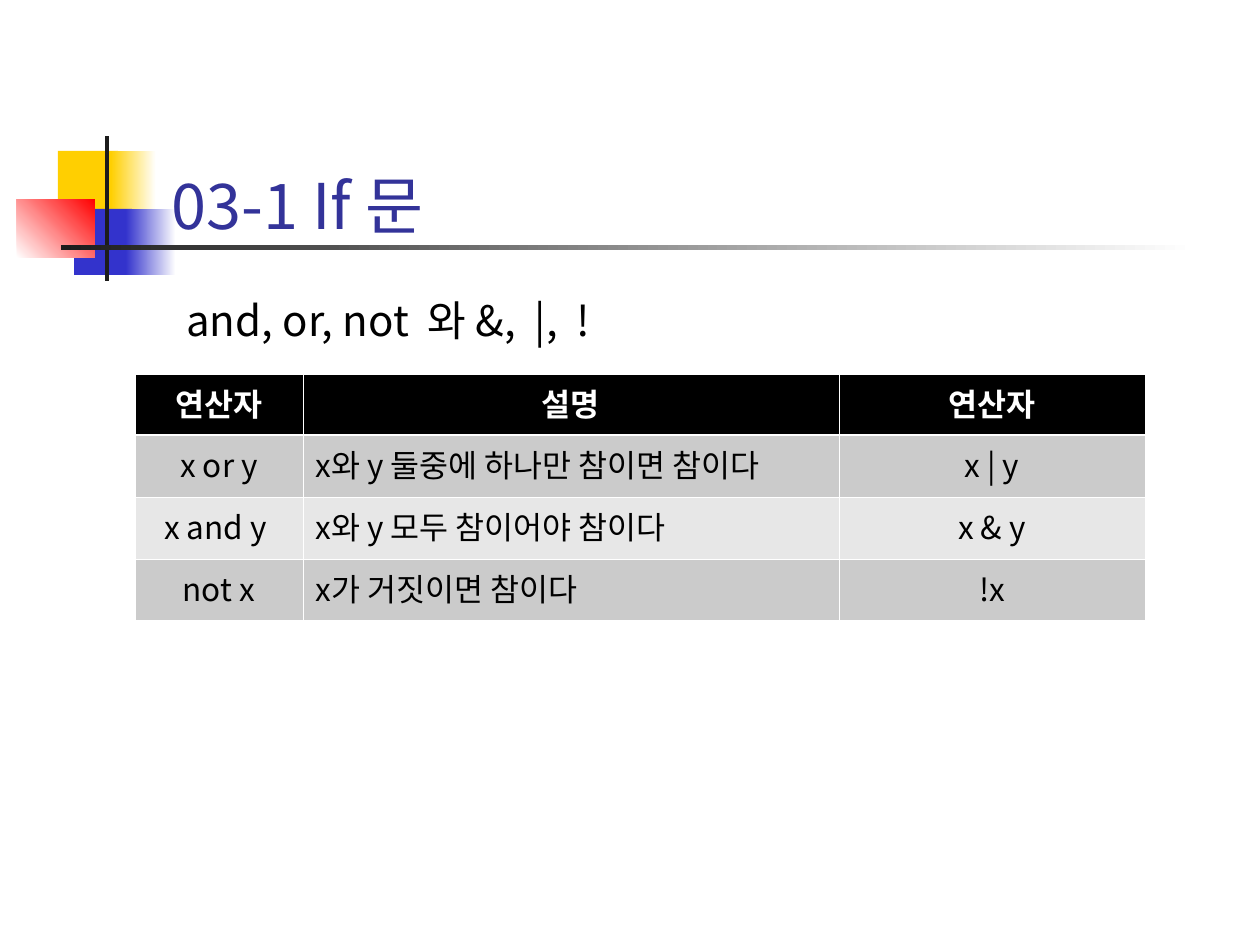
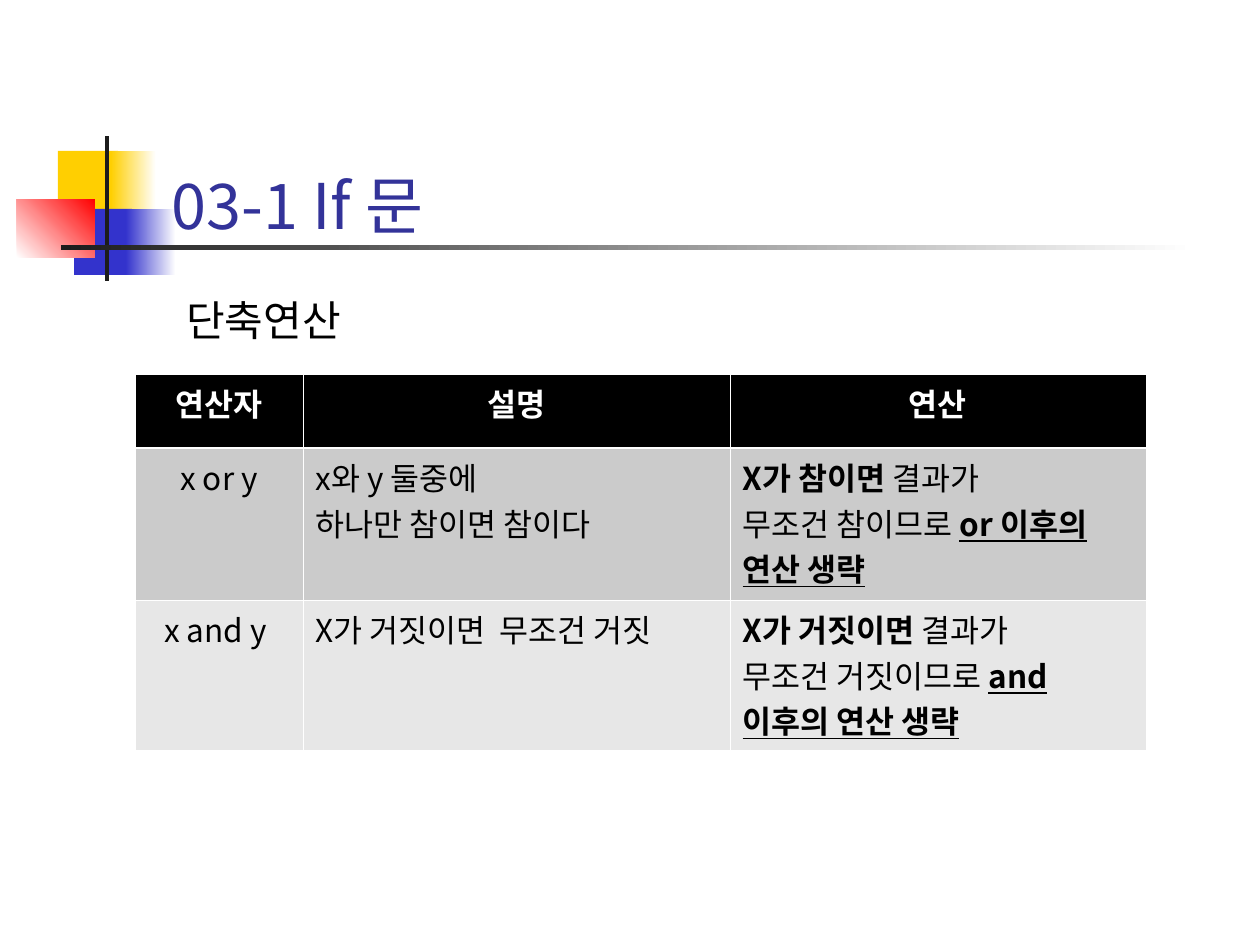
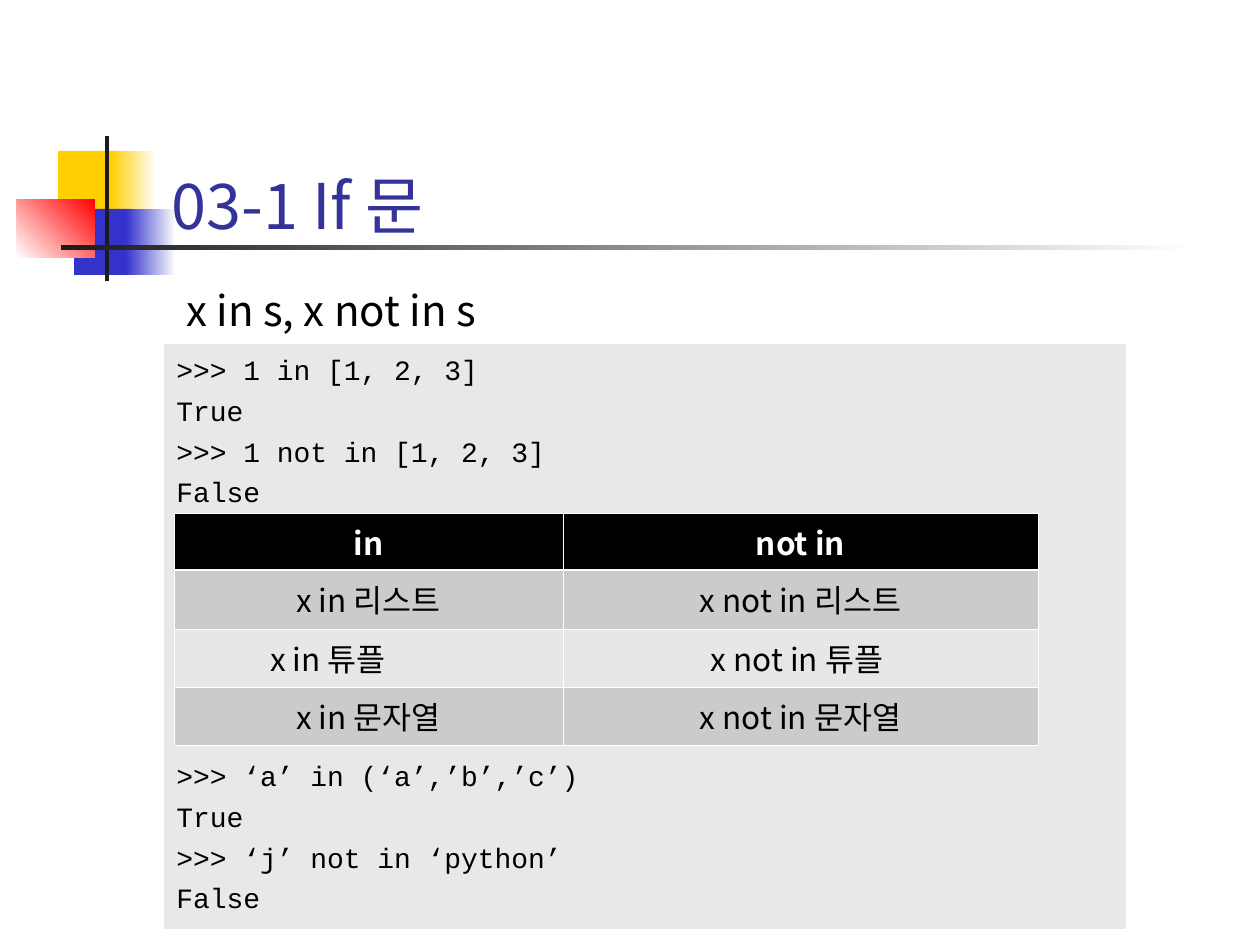
from lxml import etree
from pptx import Presentation, util as u
from pptx.dml.color import RGBColor
from pptx.enum import shapes, text
from pptx.oxml import ns

# ---- Content: lengths in px, 126 px to the inch ----
PX = 914400 / 126
SANS, MONO = "Noto Sans CJK KR", "Courier New"
BLACK, WHITE, INK = "000000", "FFFFFF", "1C1C1C"
TITLE_COLOR, CODE_FILL = "333399", "E8E8E8"
BANDS = ("CBCBCB", "E7E7E7")
YELLOW, BLUE, RED = "FFCF01", "3333CC", "FF0000"
THIN, THICK = 0.45, 1.47

TITLE = "03-1 If 문"
TITLE_BOX = (159, 84, 978, 158)

# box, colours (two make a gradient), gradient angle
ORNAMENTS = [
    ((58, 151, 60, 66), (YELLOW,), 0),
    ((111, 151, 45, 66), (YELLOW, WHITE), 0),
    ((74, 209, 58, 66), (BLUE,), 0),
    ((126, 209, 50, 66), (BLUE, WHITE), 0),
    ((17, 199, 78, 59), (WHITE, RED), 45),
    ((105, 136, 4, 145), (INK,), 0),
    ((61, 245, 1134, 5), (INK, WHITE), 0),
]

# A cell is a string, or a list of paragraphs; a paragraph is a string,
# or a list of (text, style) with style letters b (bold) and u (underline).
SLIDES = [
    {
        "subtitle": ("and, or, not  와 &,  |,  !", 294),
        "table": {
            "at": (135, 374), "columns": (168, 536, 306), "rows": (61, 62, 62, 62),
            "align": "clc",
            "cells": [
                ("연산자", "설명", "연산자"),
                ("x or y", "x와 y 둘중에 하나만 참이면 참이다", "x | y"),
                ("x and y ", "x와 y 모두 참이어야 참이다", "x & y"),
                ("not x", "x가 거짓이면 참이다", "!x"),
            ],
        },
    },
    {
        "subtitle": ("단축연산", 294),
        "table": {
            "at": (135, 374), "columns": (168, 427, 416), "rows": (74, 152, 150),
            "align": "cll",
            "cells": [
                ("연산자", "설명", "연산"),
                ("x or y", ["x와 y 둘중에", "하나만 참이면 참이다"],
                 [[("X가 참이면 ", "b"), ("결과가", "")],
                  [("무조건 참이므로 ", ""), ("or 이후의 연산 생략", "bu")]]),
                ("x and y ", "X가 거짓이면  무조건 거짓",
                 [[("X가 거짓이면 ", "b"), ("결과가", "")],
                  [("무조건 거짓이므로 ", ""), ("and 이후의 연산 생략", "bu")]]),
            ],
        },
    },
    {
        "subtitle": ("x in s, x not in s", 284),
        "code": [
            [">>> 1 in [1, 2, 3]", "True", ">>> 1 not in [1, 2, 3]", "False"],
            [">>> ‘a’ in (‘a’,’b’,’c’)", "True", ">>> ‘j’ not in ‘python’", "False"],
        ],
        "table": {
            "at": (174, 513), "columns": (389, 475), "rows": (57, 59, 58, 58),
            "align": "cc",
            "cells": [
                ("in", "not in"),
                ("x in 리스트", "x not in 리스트"),
                ("x in 튜플", "x not in 튜플 "),
                ("x in 문자열", "x not in 문자열"),
            ],
            "right_margins": {(2, 0): 94},
        },
    },
]

CODE_BOX = (164, 344, 962, 585)
CODE_LINE, CODE_SPACE = 19.2, 4   # points
CODE_GAP_LINES = 6                # lines left free for the table


def px(length):
    return u.Emu(round(length * PX))


def box(lengths):
    return [px(length) for length in lengths]


def color(value):
    return RGBColor.from_string(value)


def set_fill(fill, value):
    fill.solid()
    fill.fore_color.rgb = color(value)


def set_font(paragraph, name, size, value, bold=False):
    font = paragraph.font
    font.name, font.size, font.bold = name, u.Pt(size), bold
    font.color.rgb = color(value)
    etree.SubElement(font._element, ns.qn("a:ea"), typeface=name)


def paragraphs_for(frame, count):
    for _ in range(count - 1):
        frame.add_paragraph()
    return frame.paragraphs


def add_rectangle(slide, lengths, colors, angle=0):
    shape = slide.shapes.add_shape(shapes.MSO_SHAPE.RECTANGLE, *box(lengths))
    shape.shadow.inherit = False
    shape.line.fill.background()
    if len(colors) == 1:
        set_fill(shape.fill, colors[0])
    else:
        shape.fill.gradient()
        shape.fill.gradient_angle = angle
        for stop, value, position in zip(shape.fill.gradient_stops, colors, (0, 1)):
            stop.color.rgb = color(value)
            stop.position = position
    return shape


def add_text(slide, lengths, words, size, value):
    frame = slide.shapes.add_textbox(*box(lengths)).text_frame
    frame.word_wrap = True
    paragraph = frame.paragraphs[0]
    paragraph.text = words
    set_font(paragraph, SANS, size, value)
    return frame


def add_frame(slide):
    """Ornaments and title shared by every slide."""
    for lengths, colors, angle in ORNAMENTS:
        add_rectangle(slide, lengths, colors, angle)
    frame = add_text(slide, TITLE_BOX, TITLE, 36, TITLE_COLOR)
    frame.vertical_anchor = text.MSO_ANCHOR.BOTTOM
    frame.margin_bottom = 0


def add_subtitle(slide, words, top):
    frame = add_text(slide, (174, top, 973, 64), words, 24, BLACK)
    frame.paragraphs[0].line_spacing = 0.9


def add_code(slide, blocks):
    frame = add_rectangle(slide, CODE_BOX, (CODE_FILL,)).text_frame
    frame.word_wrap = True
    frame.vertical_anchor = text.MSO_ANCHOR.TOP
    frame.margin_top = px(9)
    lines = [(line, number > 0 and line is block[0])
             for number, block in enumerate(blocks) for line in block]
    gap = CODE_GAP_LINES * (CODE_LINE + CODE_SPACE)
    for paragraph, (line, after_gap) in zip(paragraphs_for(frame, len(lines)), lines):
        paragraph.text = line
        paragraph.alignment = text.PP_ALIGN.LEFT
        paragraph.line_spacing = u.Pt(CODE_LINE)
        paragraph.space_before = u.Pt(CODE_SPACE + (gap if after_gap else 0))
        set_font(paragraph, MONO, 16, BLACK)


def set_borders(cell, row):
    widths = {"L": THIN, "R": THIN,
              "T": THICK if row == 1 else THIN, "B": THICK if row == 0 else THIN}
    properties = cell._tc.get_or_add_tcPr()
    for side, width in widths.items():
        line = etree.SubElement(properties, ns.qn(f"a:ln{side}"), w=str(u.Pt(width)))
        fill = etree.SubElement(line, ns.qn("a:solidFill"))
        etree.SubElement(fill, ns.qn("a:srgbClr"), val=WHITE)


def fill_cell(cell, content, row, align):
    header = row == 0
    set_borders(cell, row)
    set_fill(cell.fill, BLACK if header else BANDS[(row - 1) % 2])
    content = [content] if isinstance(content, str) else content
    for paragraph, runs in zip(paragraphs_for(cell.text_frame, len(content)), content):
        paragraph.alignment = (text.PP_ALIGN.CENTER if header or align == "c"
                               else text.PP_ALIGN.LEFT)
        set_font(paragraph, SANS, 18, WHITE if header else BLACK, header)
        for words, style in [(runs, "")] if isinstance(runs, str) else runs:
            run = paragraph.add_run()
            run.text = words
            if "b" in style:
                run.font.bold = True
            if "u" in style:
                run.font.underline = True


def add_table(slide, data):
    columns, rows = data["columns"], data["rows"]
    lengths = (*data["at"], sum(columns), sum(rows))
    table = slide.shapes.add_table(len(rows), len(columns), *box(lengths)).table
    for column, width in zip(table.columns, columns):
        column.width = px(width)
    for row, height in zip(table.rows, rows):
        row.height = px(height)
    for r, contents in enumerate(data["cells"]):
        for c, content in enumerate(contents):
            fill_cell(table.cell(r, c), content, r, data["align"][c])
    for position, margin in data.get("right_margins", {}).items():
        table.cell(*position).margin_right = px(margin)


def main():
    presentation = Presentation()
    presentation.slide_width, presentation.slide_height = px(1260), px(945)
    for data in SLIDES:
        slide = presentation.slides.add_slide(presentation.slide_layouts[6])
        add_frame(slide)
        if "code" in data:
            add_code(slide, data["code"])
        add_subtitle(slide, *data["subtitle"])
        add_table(slide, data["table"])
    presentation.save("out.pptx")


if __name__ == "__main__":
    main()
